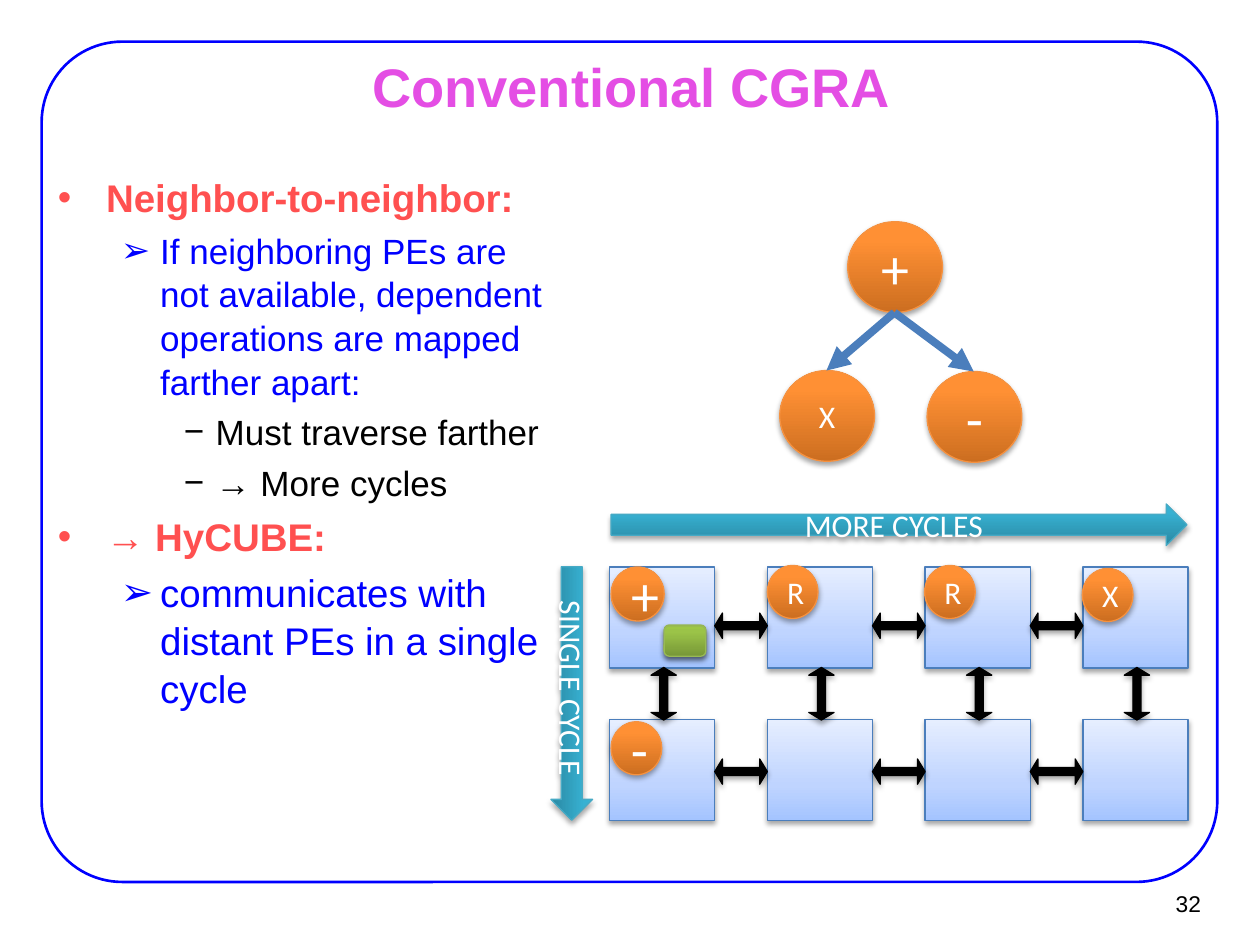
from itertools import product

from lxml.etree import SubElement
from pptx import Presentation
from pptx.dml.color import RGBColor
from pptx.enum.shapes import MSO_CONNECTOR as CONN, MSO_SHAPE as SHAPE
from pptx.enum.text import MSO_ANCHOR as ANCHOR, PP_ALIGN as ALIGN
from pptx.oxml.ns import qn
from pptx.util import Cm, Pt

COLORS = {
    "blue": "0000FF", "title": "E44EE4", "red": "FF5050", "black": "000000",
    "white": "FFFFFF", "edge": "4B7EBC", "orange": "F69240",
    "green": "98B955", "teal": "46AAC5",
}
# Gradient stops (percent, colour), running from bottom to top
GRADIENTS = {
    "orange": [(0, "CC6E20"), (80, "FF9034"), (100, "FF9136")],
    "edge": [(0, "A4C4FF"), (35, "BFD4FF"), (100, "E6EEFF")],
    "green": [(0, "779737"), (80, "9BC348"), (100, "9DC746")],
    "teal": [(0, "2A88A2"), (80, "37B1D2"), (100, "34B4D6")],
}
# Per level: left margin and hanging indent in cm, bullet character
LEVELS = [(0.97, 0.97, "•"), (2.06, 0.79, "➢"), (3.18, 0.64, "−")]
INSETS = {"margin_left": Cm(0.28), "margin_right": Cm(0.28),
          "margin_top": Cm(0.15), "margin_bottom": Cm(0.15)}
BULLETS = [
    (0, "Neighbor-to-neighbor:", 22, "red"),
    (1, "If neighboring PEs are not available, dependent operations are "
        "mapped farther apart:", 20, "blue"),
    (2, "Must traverse farther", 20, "black"),
    (2, "→ More cycles", 20, "black"),
    (0, "→ HyCUBE:", 22, "red"),
    (1, "communicates with distant PEs in a single cycle", 22, "blue"),
]


def rgb(name):
    return RGBColor.from_string(COLORS[name])


def set_all(obj, values):
    for key, value in values.items():
        setattr(obj, key, value)


class SlideBuilder:
    """Holds the current slide and the shared drawing style."""

    def __init__(self, prs):
        self.s = prs.slides.add_slide(prs.slide_layouts[5])

    def add_text(self, p, text, size, color, font="Arial", bold=False):
        r = p.add_run()
        r.text = text
        set_all(r.font, {"name": font, "size": Pt(size), "bold": bold})
        r.font.color.rgb = rgb(color)

    def title(self, text, *box):
        sp = self.s.shapes.title
        set_all(sp, dict(zip(("left", "top", "width", "height"), map(Cm, box))))
        tf = sp.text_frame
        set_all(tf, {**INSETS, "vertical_anchor": ANCHOR.MIDDLE})
        tf.paragraphs[0].alignment = ALIGN.CENTER
        self.add_text(tf.paragraphs[0], text, 31, "title", bold=True)

    def frame(self, *box):
        sp = self.s.shapes.add_shape(SHAPE.ROUNDED_RECTANGLE, *map(Cm, box))
        sp.adjustments[0] = 0.096
        sp.fill.background()
        sp.line.color.rgb = rgb("blue")
        sp.line.width = Pt(1.5)
        sp.shadow.inherit = False

    def bullets(self, items, *box):
        tf = self.s.shapes.add_textbox(*map(Cm, box)).text_frame
        set_all(tf, {**INSETS, "word_wrap": True})
        for i, (level, text, size, color) in enumerate(items):
            p = tf.add_paragraph() if i else tf.paragraphs[0]
            margin, hang, char = LEVELS[level]
            pPr = p._p.get_or_add_pPr()
            pPr.set("marL", str(Cm(margin)))
            pPr.set("indent", str(-Cm(hang)))
            SubElement(pPr, qn("a:buFont"), typeface="Arial")
            SubElement(pPr, qn("a:buChar"), char=char)
            set_all(p, {"level": level, "line_spacing": 1.04,
                        "space_before": Pt(0.2 * size if i else 0)})
            self.add_text(p, text, size, color, bold=level == 0)

    def page_number(self, text, *box):
        tf = self.s.shapes.add_textbox(*map(Cm, box)).text_frame
        set_all(tf, {"word_wrap": False, "vertical_anchor": ANCHOR.MIDDLE})
        tf.paragraphs[0].alignment = ALIGN.RIGHT
        self.add_text(tf.paragraphs[0], text, 13, "black")

    def shape(self, kind, color, box, text="", size=18, rotation=0):
        """Add a shadowed shape, with a gradient if its colour has one."""
        sp = self.s.shapes.add_shape(kind, *map(Cm, box))
        sp.rotation = rotation
        if color in GRADIENTS:
            sp.fill.gradient()
            sp.fill.gradient_angle = 90
            stops = sp._element.spPr.find(".//" + qn("a:gsLst"))
            stops.clear()
            for pos, value in GRADIENTS[color]:
                gs = SubElement(stops, qn("a:gs"), pos=str(pos * 1000))
                SubElement(gs, qn("a:srgbClr"), val=value)
        else:
            sp.fill.solid()
            sp.fill.fore_color.rgb = rgb(color)
        sp.line.color.rgb = rgb(color)
        sp.line.width = Pt(0.75)
        sp.shadow.inherit = False
        effects = sp._element.spPr.find(qn("a:effectLst"))
        shadow = SubElement(effects, qn("a:outerShdw"), blurRad=str(Pt(3.1)),
                            dist=str(Pt(1.8)), dir="5400000", rotWithShape="0")
        clr = SubElement(shadow, qn("a:srgbClr"), val=COLORS["black"])
        SubElement(clr, qn("a:alpha"), val="35000")
        if text:
            tf = sp.text_frame
            tf.vertical_anchor = ANCHOR.MIDDLE
            tf.paragraphs[0].alignment = ALIGN.CENTER
            self.add_text(tf.paragraphs[0], text, size, "white", font="Calibri")
        return sp

    def link(self, x, y, rotation=0):
        sp = self.shape(SHAPE.LEFT_RIGHT_ARROW, "black", (x, y, 1.06, 0.51),
                        rotation=rotation)
        sp.adjustments[0], sp.adjustments[1] = 0.314, 0.303

    def edge(self, *ends):
        c = self.s.shapes.add_connector(CONN.STRAIGHT, *map(Cm, ends))
        c.line.color.rgb = rgb("edge")
        c.line.width = Pt(4.5)
        spPr = c._element.spPr
        SubElement(spPr.find(qn("a:ln")), qn("a:tailEnd"), type="triangle")
        SubElement(spPr, qn("a:effectLst"))


def main():
    prs = Presentation()
    prs.slide_width, prs.slide_height = Cm(25.4), Cm(19.05)
    b = SlideBuilder(prs)
    b.frame(0.84, 0.84, 23.7, 16.94)
    b.title("Conventional CGRA", 1.93, 1.12, 21.59, 1.24)
    b.bullets(BULLETS, 0.89, 3.33, 10.46, 12.9)
    b.page_number("32", 22.91, 17.75, 1.55, 0.94)

    # Dataflow graph
    for text, size, x, y in [("+", 32, 17.09, 4.47), ("X", 18, 15.72, 7.47),
                             ("-", 32, 18.69, 7.49)]:
        b.shape(SHAPE.OVAL, "orange", (x, y, 1.91, 1.83), text, size)
    for x, y in [(16.66, 7.47), (19.63, 7.49)]:
        b.edge(18.03, 6.3, x, y)

    # Array of processing elements and the links between them
    cell_w, cell_h = 2.12, 2.04
    xs = [12.29 + 3.18 * col for col in range(4)]
    ys = [11.43, 14.5]
    for y, x in product(ys, xs):
        b.shape(SHAPE.RECTANGLE, "edge", (x, y, cell_w, cell_h))
    for y, x in product((12.36, 15.3), xs[:-1]):
        b.link(x + cell_w, y)
    for x in xs:
        b.link(x + 0.56, 13.73, rotation=270)

    # Operations mapped onto the array
    for text, size, x, y, w, h in [
        ("+", 32, 12.32, 11.43, 1.07, 1.09),
        ("X", 18, 21.82, 11.46, 1.02, 1.07),
        ("-", 32, 12.32, 14.55, 1.02, 1.07),
        ("R", 18, 18.64, 11.4, 1.02, 1.07),
        ("R", 18, 15.47, 11.4, 1.02, 1.07),
    ]:
        b.shape(SHAPE.OVAL, "orange", (x, y, w, h), text, size)
    for y in (12.6, 12.62):
        b.shape(SHAPE.ROUNDED_RECTANGLE, "green", (13.39, y, 0.84, 0.61))
    for text, box, rotation in [
        ("MORE CYCLES", (12.32, 10.16, 11.61, 0.84), 0),
        ("SINGLE CYCLE", (8.97, 13.56, 5.11, 0.84), 90),
    ]:
        b.shape(SHAPE.RIGHT_ARROW, "teal", box, text, rotation=rotation)

    prs.save("out.pptx")


if __name__ == "__main__":
    main()
